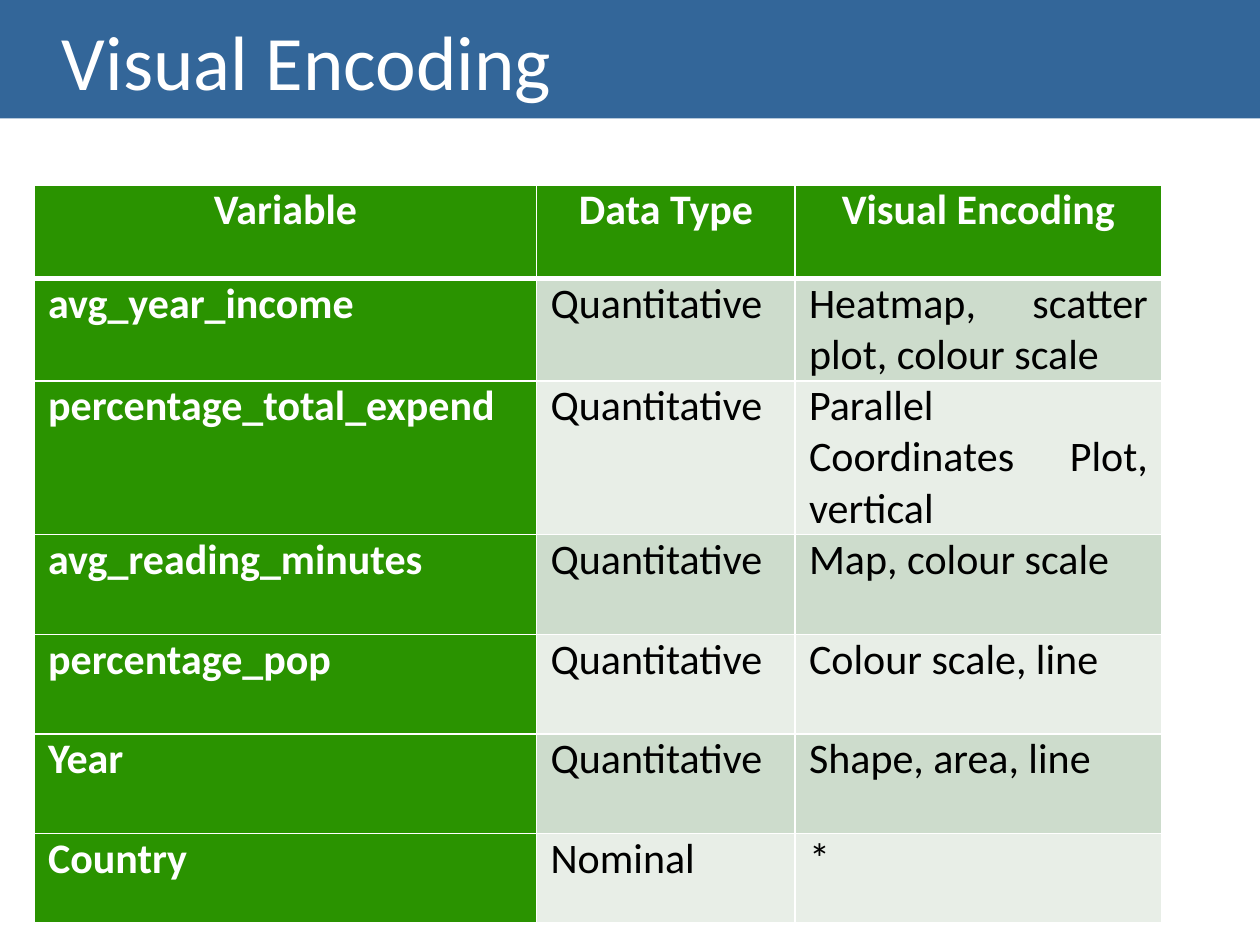
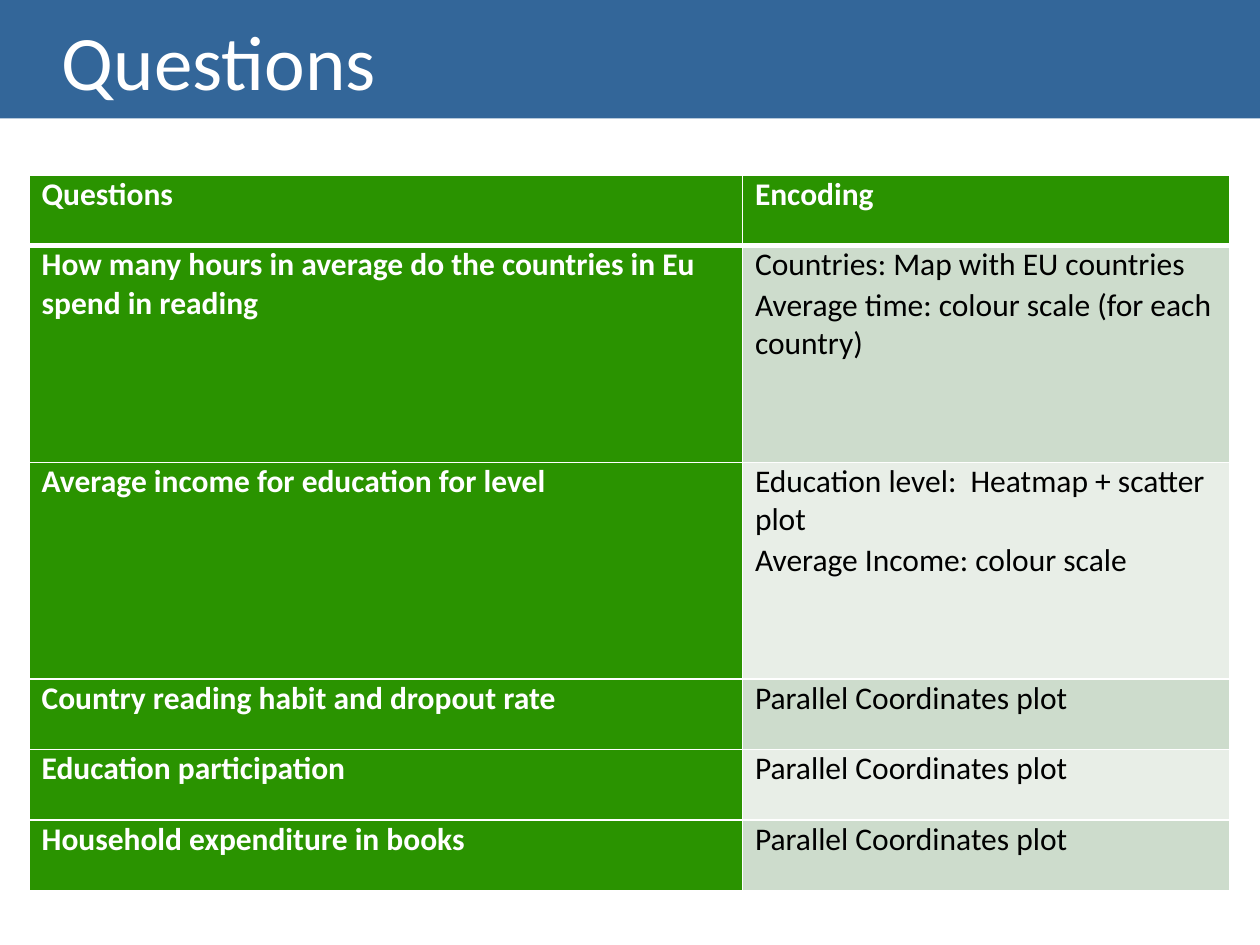
"""Build two table slides on visual encoding under a shared title band."""
from dataclasses import dataclass

from lxml import etree
from pptx import Presentation, util as u
from pptx.dml.color import RGBColor
from pptx.enum import shapes, text
from pptx.oxml import ns


@dataclass(frozen=True)
class Theme:
    font: str = "Calibri"
    band: str = "336699"
    header: str = "2A9300"
    stripes: tuple[str, str] = ("CDDCCC", "E8EEE7")
    light: str = "FFFFFF"
    dark: str = "000000"
    title_size: int = 44
    rule: float = 1
    header_rule: float = 3


@dataclass(frozen=True)
class TableSlide:
    title: str
    left: float
    top: float
    widths: list[float]
    heights: list[float]
    rows: list[tuple[str, ...]]
    size: int
    inset: float
    header_align: text.PP_ALIGN
    body_align: text.PP_ALIGN
    before: float = 0
    after: float = 0


THEME = Theme()
PAGE_WIDTH, PAGE_HEIGHT, BAND_HEIGHT = 25.4, 19.05, 2.39
TITLE_INSET = 1.25
PLOT = "Parallel Coordinates plot"

SLIDES = [
    TableSlide(
        "Visual Encoding", 0.69, 3.73, [10.13, 5.21, 7.39],
        [1.88, 2.03, 2.03, 2.01, 2.01, 2.01, 1.8],
        [
            ("Variable", "Data Type", "Visual Encoding"),
            ("avg_year_income", "Quantitative", "Heatmap, scatter plot, colour scale"),
            ("percentage_total_expend", "Quantitative", "Parallel Coordinates Plot, vertical"),
            ("avg_reading_minutes", "Quantitative", "Map, colour scale"),
            ("percentage_pop", "Quantitative", "Colour scale, line"),
            ("Year", "Quantitative", "Shape, area, line"),
            ("Country", "Nominal", "*"),
        ],
        24, 0.28, text.PP_ALIGN.CENTER, text.PP_ALIGN.JUSTIFY,
    ),
    TableSlide(
        "Questions", 0.59, 3.53, [14.38, 9.83],
        [1.42, 4.37, 4.37, 1.42, 1.42, 1.42],
        [
            ("Questions", "Encoding"),
            ("How many hours in average do the countries in Eu spend in reading",
             "Countries: Map with EU countries\nAverage time: colour scale (for each country)"),
            ("Average income for education for level",
             "Education level:  Heatmap + scatter plot\nAverage Income: colour scale"),
            ("Country reading habit and dropout rate", PLOT),
            ("Education participation", PLOT),
            ("Household expenditure in books", PLOT),
        ],
        18, 0.25, text.PP_ALIGN.LEFT, text.PP_ALIGN.LEFT, 0.8, 0.6,
    ),
]


def paint(fill, color: str) -> None:
    fill.solid()
    fill.fore_color.rgb = RGBColor.from_string(color)


def style(p, size: int, color: str, bold: bool = False) -> None:
    p.font.name, p.font.size, p.font.bold = THEME.font, u.Pt(size), bold
    p.font.color.rgb = RGBColor.from_string(color)


def add_title(s, title: str) -> None:
    sp = s.shapes.add_shape(
        shapes.MSO_SHAPE.RECTANGLE, 0, 0, u.Cm(PAGE_WIDTH), u.Cm(BAND_HEIGHT))
    sp.shadow.inherit = False
    sp.line.fill.background()
    paint(sp.fill, THEME.band)
    tf = sp.text_frame
    tf.margin_left = u.Cm(TITLE_INSET)
    tf.vertical_anchor = text.MSO_ANCHOR.MIDDLE
    p = tf.paragraphs[0]
    p.text, p.alignment = title, text.PP_ALIGN.LEFT
    style(p, THEME.title_size, THEME.light)


def add_borders(cell, row: int) -> None:
    props = cell._tc.get_or_add_tcPr()
    heavy = {(0, "lnB"), (1, "lnT")}
    for side in ("lnL", "lnR", "lnT", "lnB"):
        width = THEME.header_rule if (row, side) in heavy else THEME.rule
        line = etree.SubElement(props, ns.qn(f"a:{side}"), w=str(u.Pt(width)))
        solid = etree.SubElement(line, ns.qn("a:solidFill"))
        etree.SubElement(solid, ns.qn("a:srgbClr"), val=THEME.light)


def fill_cell(cell, row: int, col: int, spec: TableSlide) -> None:
    heading = row == 0 or col == 0
    add_borders(cell, row)
    paint(cell.fill, THEME.header if heading else THEME.stripes[(row - 1) % 2])
    cell.margin_left = cell.margin_right = u.Cm(spec.inset)
    cell.margin_top = cell.margin_bottom = 0
    cell.text_frame.text = spec.rows[row][col]
    for p in cell.text_frame.paragraphs:
        p.alignment = spec.body_align if row else spec.header_align
        p.space_before, p.space_after = u.Pt(spec.before), u.Pt(spec.after)
        style(p, spec.size, THEME.light if heading else THEME.dark, heading)


def add_grid(s, spec: TableSlide) -> None:
    table = s.shapes.add_table(
        len(spec.heights), len(spec.widths), u.Cm(spec.left), u.Cm(spec.top),
        u.Cm(sum(spec.widths)), u.Cm(sum(spec.heights))).table
    for column, width in zip(table.columns, spec.widths):
        column.width = u.Cm(width)
    for row, height in enumerate(spec.heights):
        table.rows[row].height = u.Cm(height)
        for col in range(len(spec.widths)):
            fill_cell(table.cell(row, col), row, col, spec)


def main() -> None:
    prs = Presentation()
    prs.slide_width, prs.slide_height = u.Cm(PAGE_WIDTH), u.Cm(PAGE_HEIGHT)
    for spec in SLIDES:
        s = prs.slides.add_slide(prs.slide_layouts[6])
        add_title(s, spec.title)
        add_grid(s, spec)
    prs.save("out.pptx")


if __name__ == "__main__":
    main()
